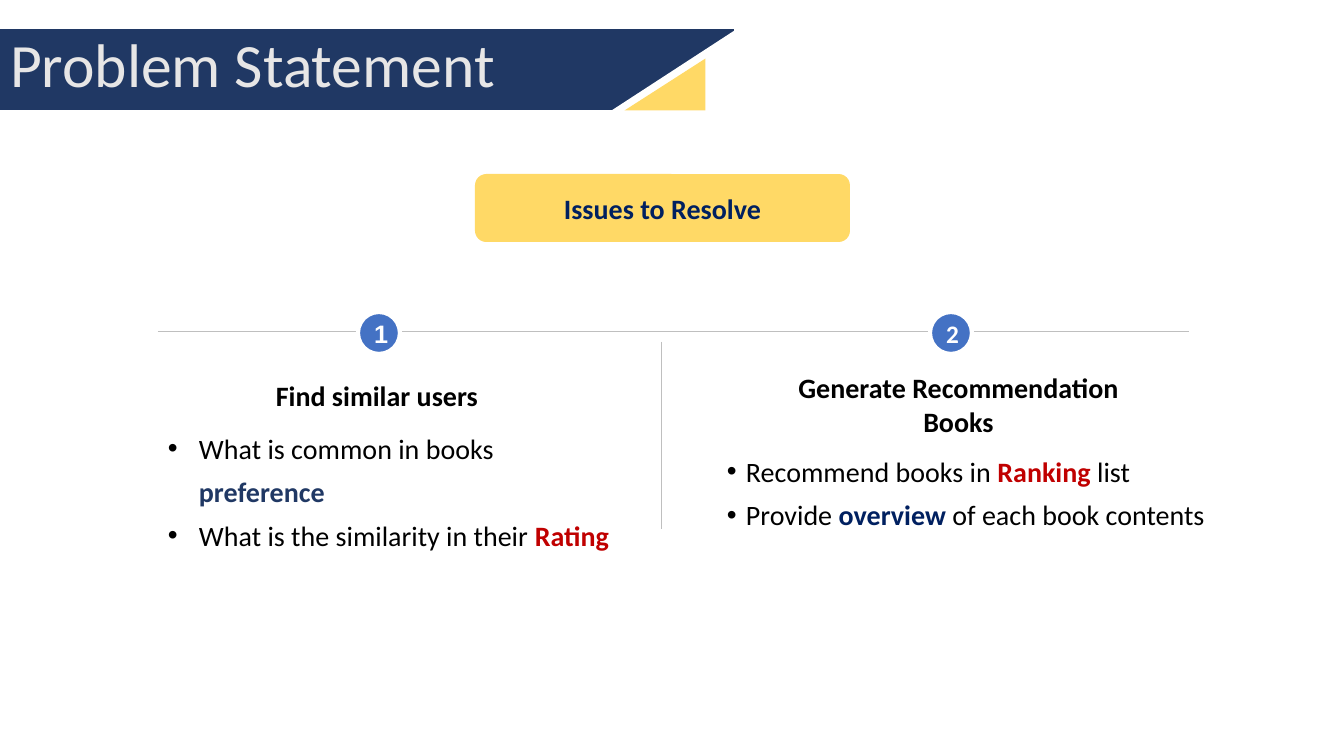
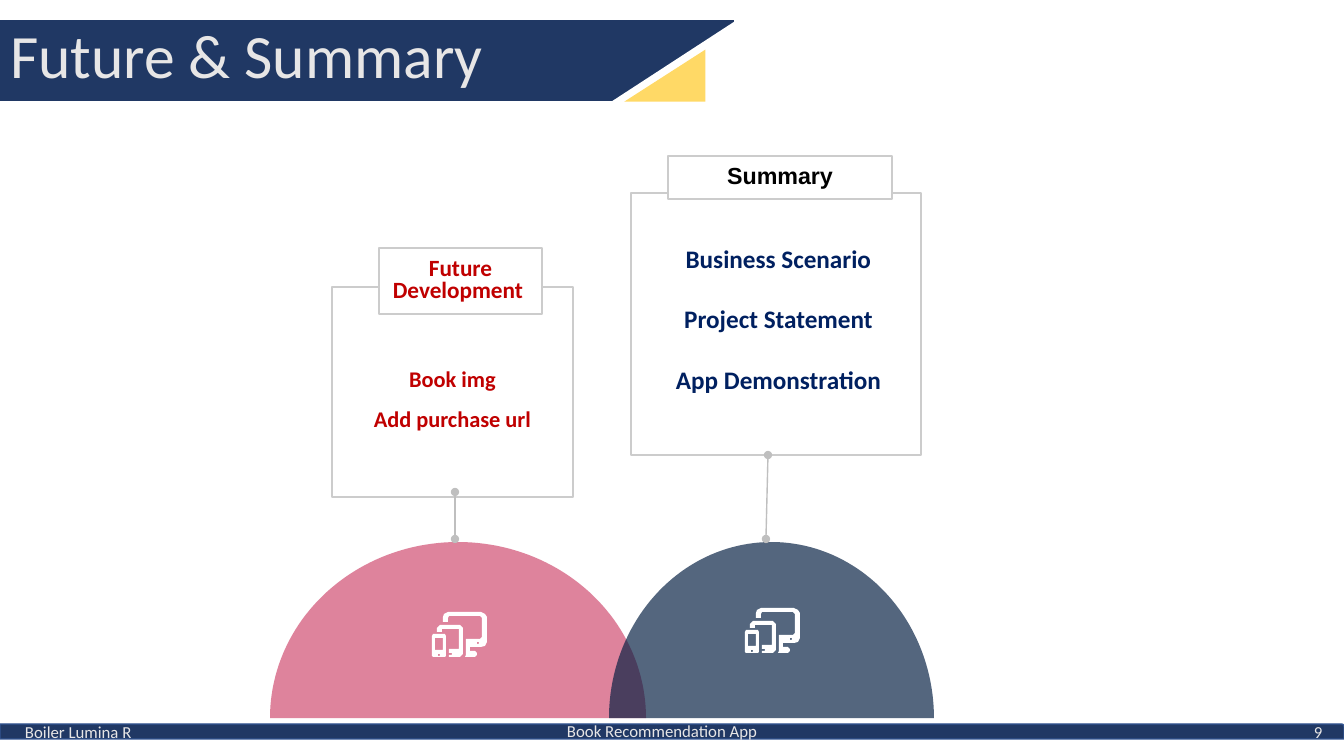
import math

from pptx import Presentation
from pptx.dml.color import RGBColor
from pptx.enum import shapes as kinds
from pptx.enum import text as txt
from pptx.oxml.ns import qn
from pptx.oxml.xmlchemy import OxmlElement
from pptx import util as u

EMU_PER_PX = 914400 / 100.8
SLIDE_W, SLIDE_H = 1344, 756
TWO_CONTENT = 3

# Shared palette
NAVY, DEEP, YELLOW, BLUE = "203864", "002060", "FFD966", "4472C4"
RED, BLACK, WHITE, PALE = "C00000", "000000", "FFFFFF", "E7E6E6"
RULE, FRAME = "BFBFBF", "CCCCCC"

SHAPE = kinds.MSO_SHAPE
LEFT, CENTER = txt.PP_ALIGN.LEFT, txt.PP_ALIGN.CENTER
TOP, MIDDLE = txt.MSO_ANCHOR.TOP, txt.MSO_ANCHOR.MIDDLE
INSET = (10, 5, 10, 5)
WIDE_INSET = (20, 20, 20, 20)

# Outlines of the devices icon, in px from its top left corner
DEVICES = [
    # monitor and its power light
    [(11, 10), (11, 5), (12, 2), (16, 0), (49, 0), (53, 2), (55, 5), (55, 30),
     (53, 34), (49, 35), (38, 35), (38, 39), (43, 39), (45, 41), (45, 43),
     (43, 45), (33, 45), (34, 43), (34, 27), (48, 27), (50, 25), (50, 6),
     (48, 4), (17, 4), (16, 6), (16, 10)],
    [(45, 30), (47, 30), (47, 32), (45, 32)],
    # tablet
    [(5, 20), (5, 16), (8, 13), (28, 13), (31, 16), (31, 42), (28, 45),
     (17, 45), (17, 43), (20, 43), (20, 41), (17, 41), (17, 37), (27, 37),
     (27, 17), (10, 17), (10, 20)],
    # phone, its screen and its button
    [(1, 22), (13, 22), (14, 24), (14, 44), (13, 45), (1, 45), (0, 44), (0, 24)],
    [(3, 26), (11, 26), (11, 38), (3, 38)],
    [(6, 42), (8, 42), (8, 44), (6, 44)],
]


def px(length):
    return u.Emu(round(length * EMU_PER_PX))


def colour(hex_code):
    return RGBColor.from_string(hex_code)


def place(shape, box):
    shape.left, shape.top, shape.width, shape.height = map(px, box)


def paint(shape, fill=None, line=None, width=1.5):
    if fill:
        shape.fill.solid()
        shape.fill.fore_color.rgb = colour(fill)
    else:
        shape.fill.background()
    if line:
        shape.line.color.rgb = colour(line)
        shape.line.width = u.Pt(width)
    else:
        shape.line.fill.background()


def write(shape, paragraphs, size, font="Calibri", align=CENTER, anchor=TOP,
          inset=INSET, spacing=1.0):
    """Each paragraph is a list of runs: (text, colour, bold)."""
    frame = shape.text_frame
    frame.word_wrap = True
    frame.auto_size = txt.MSO_AUTO_SIZE.NONE
    frame.vertical_anchor = anchor
    (frame.margin_left, frame.margin_top,
     frame.margin_right, frame.margin_bottom) = map(px, inset)
    for number, runs in enumerate(paragraphs):
        paragraph = frame.add_paragraph() if number else frame.paragraphs[0]
        paragraph.alignment = align
        paragraph.line_spacing = spacing
        paragraph.space_before = u.Pt(0)
        for words, ink, bold in runs:
            run = paragraph.add_run()
            run.text = words
            run.font.name, run.font.size, run.font.bold = font, u.Pt(size), bold
            run.font.color.rgb = colour(ink)


def indent(shape, margin, hanging, bullet=True):
    for paragraph in shape.text_frame.paragraphs:
        properties = paragraph._p.get_or_add_pPr()
        properties.set("marL", str(px(margin)))
        properties.set("indent", str(px(-hanging)))
        if not bullet:
            properties.append(OxmlElement("a:buNone"))


def add_preset(slide, preset, box, fill=None, line=None, width=1.5):
    shape = slide.shapes.add_shape(preset, *map(px, box))
    shape.shadow.inherit = False
    paint(shape, fill, line, width)
    return shape


def add_label(slide, box, words, ink, size, bold=False, **style):
    label = slide.shapes.add_textbox(*map(px, box))
    write(label, [[(words, ink, bold)]], size, **style)


def add_rule(slide, start, end, width=0.75, dots=False):
    rule = slide.shapes.add_connector(
        kinds.MSO_CONNECTOR.STRAIGHT, *map(px, start + end))
    rule.line.color.rgb = colour(RULE)
    rule.line.width = u.Pt(width)
    if dots:
        for tag in ("a:headEnd", "a:tailEnd"):
            dot = OxmlElement(tag)
            dot.set("type", "oval")
            rule.line._get_or_add_ln().append(dot)
    rule._element.spPr.append(OxmlElement("a:effectLst"))


def add_outline(slide, contours, fill):
    points = [[(px(x), px(y)) for x, y in contour] for contour in contours]
    builder = slide.shapes.build_freeform(*points[0][0], scale=1.0)
    for number, contour in enumerate(points):
        if number:
            builder.move_to(*contour[0])
        builder.add_line_segments(contour[1:], close=True)
    outline = builder.convert_to_shape()
    outline.shadow.inherit = False
    paint(outline, fill)
    return outline


def add_dome(slide, left, top, width, height, fill, opacity):
    steps = 90
    angles = [math.pi * step / steps for step in range(steps + 1)]
    arc = [(left + width / 2 * (1 - math.cos(a)),
            top + height * (1 - math.sin(a))) for a in angles]
    dome = add_outline(slide, [arc], fill)
    alpha = OxmlElement("a:alpha")
    alpha.set("val", str(opacity * 1000))
    dome._element.spPr.find(qn("a:solidFill")).find(qn("a:srgbClr")).append(alpha)


def add_devices(slide, left, top):
    add_outline(slide, [[(left + x, top + y) for x, y in contour]
                        for contour in DEVICES], WHITE)


def add_titled_slide(deck, heading, top):
    """Title band with the slanted white and yellow end."""
    slide = deck.slides.add_slide(deck.slide_layouts[TWO_CONTENT])
    title = slide.shapes.title
    place(title, (0, top, 734, 81))
    paint(title, NAVY)
    write(title, [[(heading, PALE, False)]], 44, align=LEFT, spacing=0.9)
    for left, drop, width, height, fill in ((633, -20, 80, 123, WHITE),
                                            (639, 15, 52, 81, YELLOW)):
        corner = add_preset(slide, SHAPE.RIGHT_TRIANGLE,
                            (left, top + drop, width, height), fill)
        corner.rotation = 270
    return slide


def add_footer(slide, team, topic, page):
    add_preset(slide, SHAPE.ROUND_1_RECTANGLE, (0, 724, SLIDE_W, 15),
               NAVY, "325491", 1)
    for left, top, width, words in ((557, 716, 229, topic),
                                    (1304, 717, 29, page),
                                    (15, 717, 229, team)):
        add_label(slide, (left, top, width, 30), words, PALE, 12, align=LEFT)


def build_problem(deck):
    slide = add_titled_slide(deck, "Problem Statement", 29)
    issues = add_preset(slide, SHAPE.ROUNDED_RECTANGLE, (475, 174, 375, 68), YELLOW)
    write(issues, [[("Issues to Resolve", DEEP, True)]], 20, anchor=MIDDLE,
          inset=(10, 10, 10, 10))

    # Timeline with numbered steps
    add_rule(slide, (158, 332), (1189, 332))
    add_rule(slide, (662, 342), (662, 529))
    for left, number, font in ((358, "1", "Arial"), (930, "2", "Calibri")):
        step = add_preset(slide, SHAPE.OVAL, (left, 312, 42, 42), BLUE, WHITE, 3)
        write(step, [[(number, WHITE, True)]], 18, font, anchor=MIDDLE)

    # Headings and questions
    add_label(slide, (166, 374, 422, 43), "Find similar users", BLACK, 20, True,
              anchor=MIDDLE)
    add_label(slide, (769, 366, 379, 43), "Generate Recommendation Books",
              BLACK, 20, True)
    similar = [
        [("What is common in books ", BLACK, False), ("preference", NAVY, True)],
        [("What is the similarity in their ", BLACK, False), ("Rating", RED, True)],
    ]
    recommend = [
        [("Recommend books in ", BLACK, False), ("Ranking", RED, True),
         (" list", BLACK, False)],
        [("Provide ", BLACK, False), ("overview", DEEP, True),
         (" of each book contents", BLACK, False)],
    ]
    for index, box, points, margin, hanging in (
            (1, (158, 416, 469, 144), similar, 31, 31),
            (2, (717, 439, 511, 144), recommend, 19, 22)):
        questions = slide.placeholders[index]
        place(questions, box)
        write(questions, points, 20, align=LEFT, spacing=1.3)
        indent(questions, margin, hanging)


def build_summary(deck):
    slide = add_titled_slide(deck, "Future & Summary", 20)
    add_footer(slide, "Boiler Lumina R", "Book Recommendation App", "9")

    # Domes with icons
    add_dome(slide, 270, 542, 376, 176, "BF0D3E", 51)
    add_dome(slide, 609, 542, 325, 176, "041E42", 68)
    add_devices(slide, 432, 612)
    add_devices(slide, 745, 608)

    # Framed lists
    for index, box, items, ink, size, anchor, inset, spacing in (
            (1, (332, 287, 241, 210), ("Book img", "Add purchase url"),
             RED, 16, MIDDLE, WIDE_INSET, 1.5),
            (2, (631, 193, 290, 262),
             ("Business Scenario", "Project Statement", "App Demonstration"),
             DEEP, 18, TOP, (25, 20, 20, 20), 2.0)):
        topics = slide.placeholders[index]
        place(topics, box)
        paint(topics, line=FRAME)
        write(topics, [[(item, ink, True)] for item in items], size,
              anchor=anchor, inset=inset, spacing=spacing)
        indent(topics, 0, 0, bullet=False)

    # Tabs on the frames
    for box, words, ink, font, inset in (
            ((379, 248, 163, 66), "Future Development ", RED, "Calibri", INSET),
            ((668, 156, 224, 43), "Summary", BLACK, "Arial", WIDE_INSET)):
        tab = add_preset(slide, SHAPE.RECTANGLE, box, WHITE, FRAME)
        write(tab, [[(words, ink, True)]], 16.6, font, anchor=MIDDLE,
              inset=inset, spacing=0.8)

    # Links from domes to frames
    add_rule(slide, (766, 539), (768, 455), 1, dots=True)
    add_rule(slide, (455, 539), (455, 492), 1, dots=True)


def main():
    deck = Presentation()
    deck.slide_width, deck.slide_height = px(SLIDE_W), px(SLIDE_H)
    build_problem(deck)
    build_summary(deck)
    deck.save("out.pptx")


if __name__ == "__main__":
    main()
